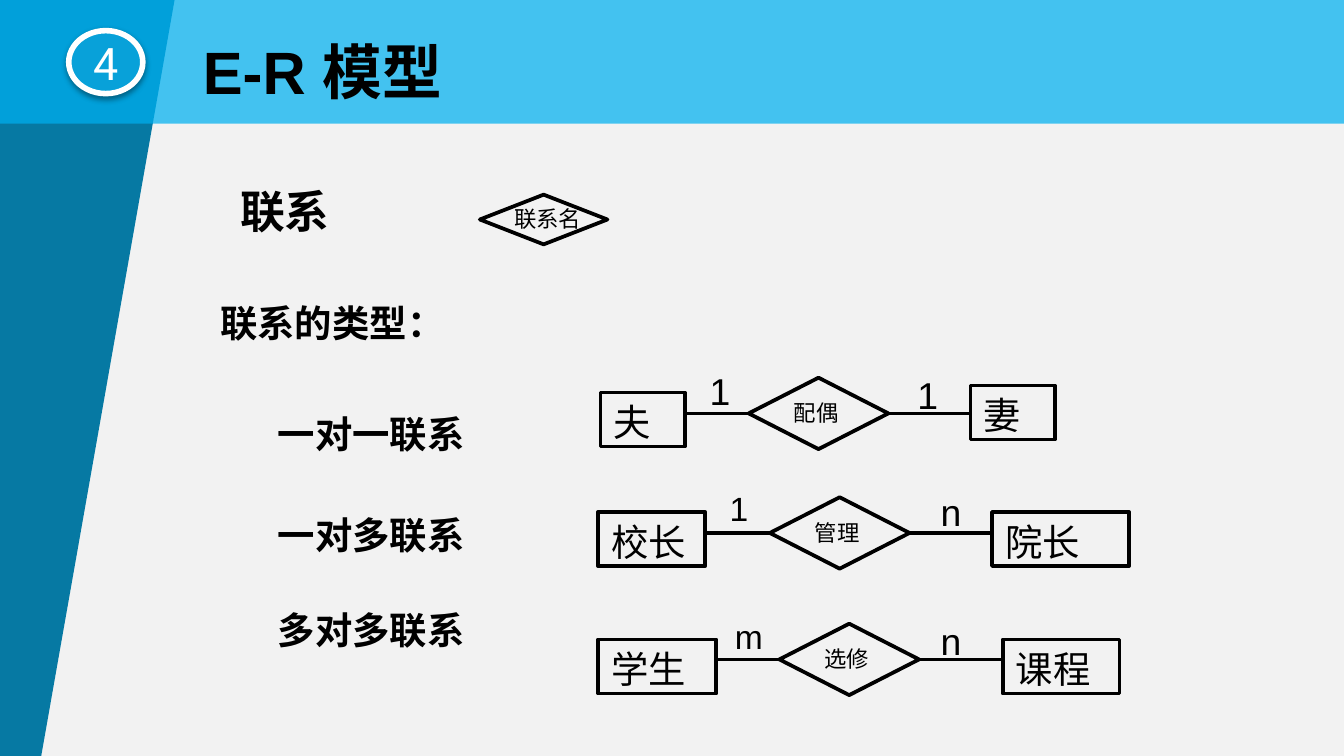
from lxml.etree import SubElement
from pptx import Presentation
from pptx.dml.color import RGBColor
from pptx.enum.shapes import MSO_CONNECTOR, MSO_SHAPE
from pptx.enum.text import MSO_ANCHOR, MSO_AUTO_SIZE, PP_ALIGN
from pptx.oxml.ns import qn
from pptx.util import Cm, Pt

CJK_FONT = "Noto Sans CJK SC"
BLACK, WHITE = "000000", "FFFFFF"
DIAMOND_WIDTH, DIAMOND_HEIGHT = 2.64, 1.35
ENTITY_HEIGHT = 1.02
LEFT_SITE, RIGHT_SITE = 1, 3

# Entities: name, left, top, width. Cardinalities: text, left, top, size.
RELATIONSHIPS = [
    {"name": "配偶", "at": (14.15, 7.14),
     "entities": [("夫", 11.35, 7.42, 1.6), ("妻", 18.34, 7.29, 1.6)],
     "cardinalities": [("1", 13.16, 6.83, 20), ("1", 17.09, 6.91, 20)]},
    {"name": "管理", "at": (14.55, 9.4),
     "entities": [("校长", 11.3, 9.68, 2.03), ("院长", 18.75, 9.68, 2.59)],
     "cardinalities": [("1", 13.54, 9.09, 18), ("n", 17.53, 9.12, 20)]},
    {"name": "选修", "at": (14.73, 11.79),
     "entities": [("学生", 11.3, 12.09, 2.24), ("课程", 18.95, 12.09, 2.21)],
     "cardinalities": [("m", 13.64, 11.51, 18), ("n", 17.53, 11.56, 20)]},
]


def color(value):
    return RGBColor.from_string(value)


def write(frame, text, size=20, font="Arial", bold=False, fill=BLACK,
          align=PP_ALIGN.LEFT, anchor=MSO_ANCHOR.TOP):
    frame.word_wrap = True
    frame.auto_size = MSO_AUTO_SIZE.NONE
    frame.vertical_anchor = anchor
    paragraph = frame.paragraphs[0]
    paragraph.alignment = align
    run = paragraph.add_run()
    run.text = text
    run.font.size = Pt(size)
    run.font.bold = bold
    run.font.color.rgb = color(fill)
    run.font.name = font
    SubElement(run.font._element, qn("a:ea"), typeface=CJK_FONT)


def add_text(slide, text, left, top, width, height, **style):
    box = slide.shapes.add_textbox(Cm(left), Cm(top), Cm(width), Cm(height))
    write(box.text_frame, text, **style)


def add_shape(slide, kind, left, top, width, height, fill=None, line=BLACK, weight=2):
    shape = slide.shapes.add_shape(kind, Cm(left), Cm(top), Cm(width), Cm(height))
    shape.shadow.inherit = False
    if fill:
        shape.fill.solid()
        shape.fill.fore_color.rgb = color(fill)
    else:
        shape.fill.background()
    if line:
        shape.line.color.rgb = color(line)
        shape.line.width = Pt(weight)
    else:
        shape.line.fill.background()
    return shape


def add_link(slide, diamond, site, end_x):
    """Draw a level line from one corner of the diamond to end_x."""
    middle = diamond.top + diamond.height // 2
    link = slide.shapes.add_connector(MSO_CONNECTOR.STRAIGHT, diamond.left, middle, end_x, middle)
    link.begin_connect(diamond, site)
    link.line.color.rgb = color(BLACK)
    link.line.width = Pt(2)
    SubElement(link._element.spPr, qn("a:effectLst"))


def add_entity(slide, name, left, top, width):
    entity = add_shape(slide, MSO_SHAPE.RECTANGLE, left, top, width, ENTITY_HEIGHT)
    write(entity.text_frame, name)
    return entity


def add_relationship(slide, name, at, entities, cardinalities):
    left, top = at
    diamond = add_shape(slide, MSO_SHAPE.DIAMOND, left, top, DIAMOND_WIDTH, DIAMOND_HEIGHT)
    first, second = [add_entity(slide, *entity) for entity in entities]
    add_link(slide, diamond, LEFT_SITE, first.left + first.width)
    add_link(slide, diamond, RIGHT_SITE, second.left)
    for text, label_left, label_top, size in cardinalities:
        add_text(slide, text, label_left, label_top, 1.1, 1.02, size=size)
    add_text(slide, name, left + 0.6, top + 0.28, 1.45, 0.76, size=12)


def add_background(slide, width, height):
    slide.background.fill.solid()
    slide.background.fill.fore_color.rgb = color("F2F2F2")
    builder = slide.shapes.build_freeform(0, 0)
    builder.add_line_segments([(Cm(3.3), 0), (Cm(0.78), height), (0, height)])
    side = builder.convert_to_shape()
    side.shadow.inherit = False
    side.fill.solid()
    side.fill.fore_color.rgb = color("0679A3")
    side.line.fill.background()
    band = add_shape(slide, MSO_SHAPE.RECTANGLE, 0, 0, width.cm, 2.34, fill="00B0F0", line=None)
    band_color = band._element.spPr.find(qn("a:solidFill")).find(qn("a:srgbClr"))
    SubElement(band_color, qn("a:alpha"), val="72000")


def add_title(slide, text):
    title = slide.shapes.title
    title.left, title.top, title.width, title.height = Cm(3.58), Cm(0.53), Cm(5.51), Cm(1.63)
    write(title.text_frame, text, size=32, bold=True)
    # Bring the title in front of the header band.
    slide.shapes._spTree.append(title._element)


def add_number_badge(slide, number):
    badge = add_shape(slide, MSO_SHAPE.OVAL, 1.3, 0.58, 1.4, 1.19,
                      fill="08A1D9", line=WHITE, weight=3)
    write(badge.text_frame, number, size=24, font="Roboto", fill=WHITE,
          align=PP_ALIGN.CENTER, anchor=MSO_ANCHOR.MIDDLE)
    badge.text_frame.word_wrap = False
    effects = badge._element.spPr.find(qn("a:effectLst"))
    shadow = SubElement(effects, qn("a:outerShdw"), blurRad=str(Pt(3.1)),
                        dist=str(Pt(1.6)), dir="5400000", rotWithShape="0")
    shadow_color = SubElement(shadow, qn("a:srgbClr"), val=BLACK)
    SubElement(shadow_color, qn("a:alpha"), val="38000")


def main():
    presentation = Presentation()
    presentation.slide_width, presentation.slide_height = Cm(25.4), Cm(14.29)
    slide = presentation.slides.add_slide(presentation.slide_layouts[5])
    add_background(slide, presentation.slide_width, presentation.slide_height)

    heading = {"font": CJK_FONT, "bold": True}
    add_text(slide, "联系的类型：", 3.91, 5.54, 4.75, 1.4, **heading)
    for text, top in [("一对一联系", 7.65), ("一对多联系", 9.55), ("多对多联系", 11.35)]:
        add_text(slide, text, 5, top, 4.75, 1.4, **heading)
    for relationship in RELATIONSHIPS:
        add_relationship(slide, **relationship)

    add_text(slide, "联系", 4.29, 3.35, 2.92, 1.22, size=24, **heading)
    add_shape(slide, MSO_SHAPE.DIAMOND, 9.07, 3.68, 2.41, 0.94)
    add_text(slide, "联系名", 9.47, 3.76, 2.13, 0.76, size=12)
    add_title(slide, "E-R 模型")
    add_number_badge(slide, "4")
    presentation.save("out.pptx")


if __name__ == "__main__":
    main()
